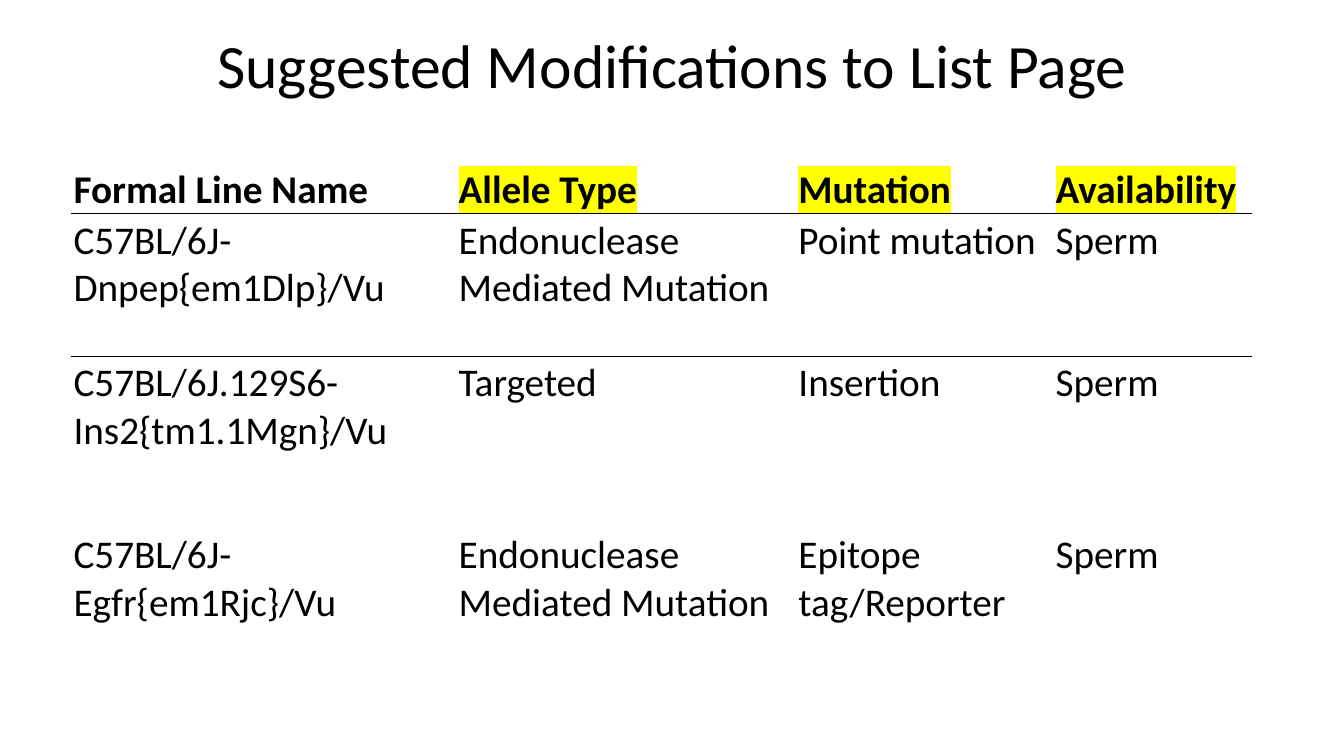
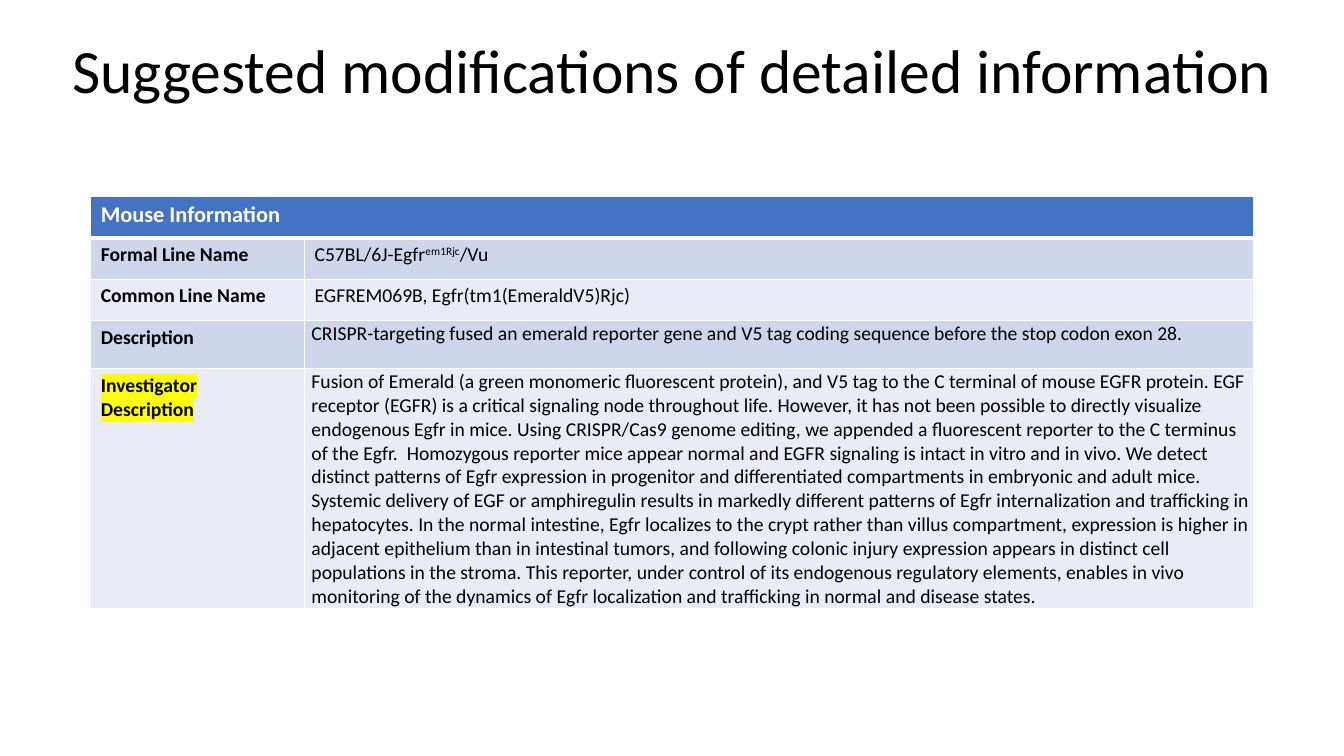
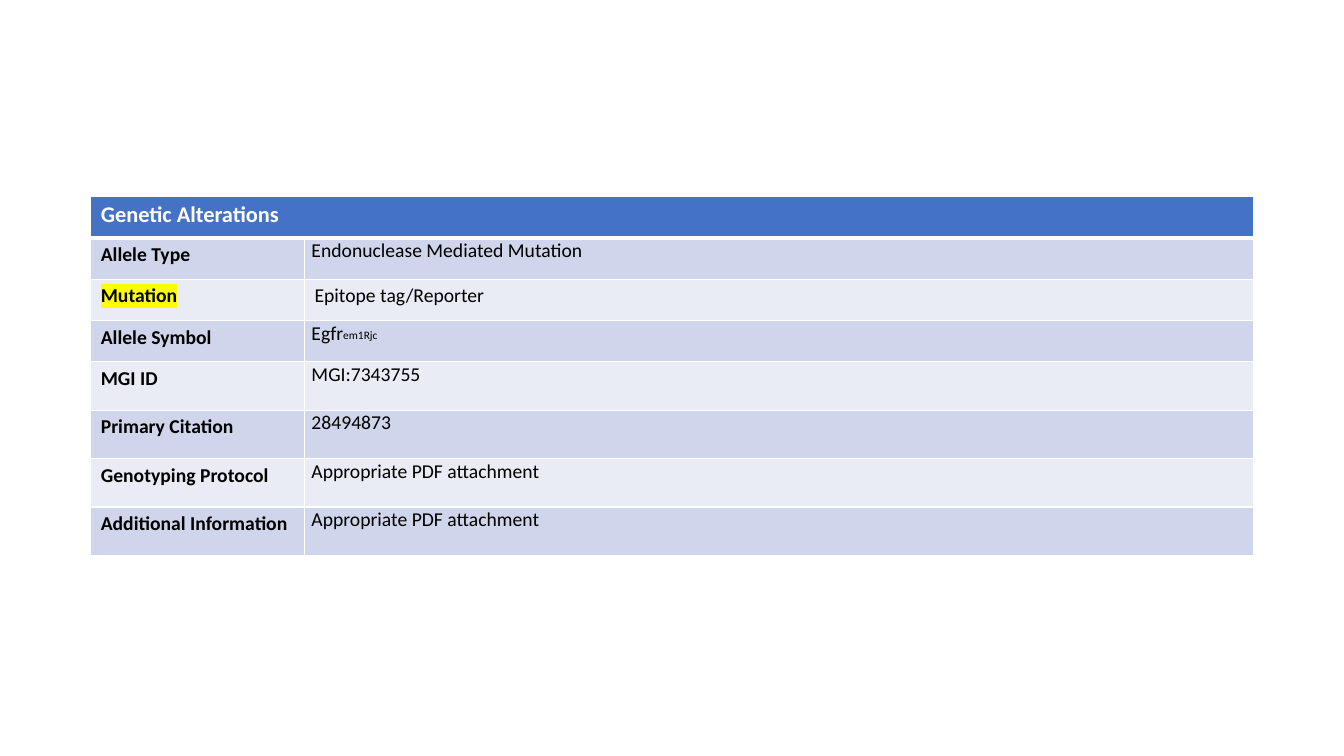
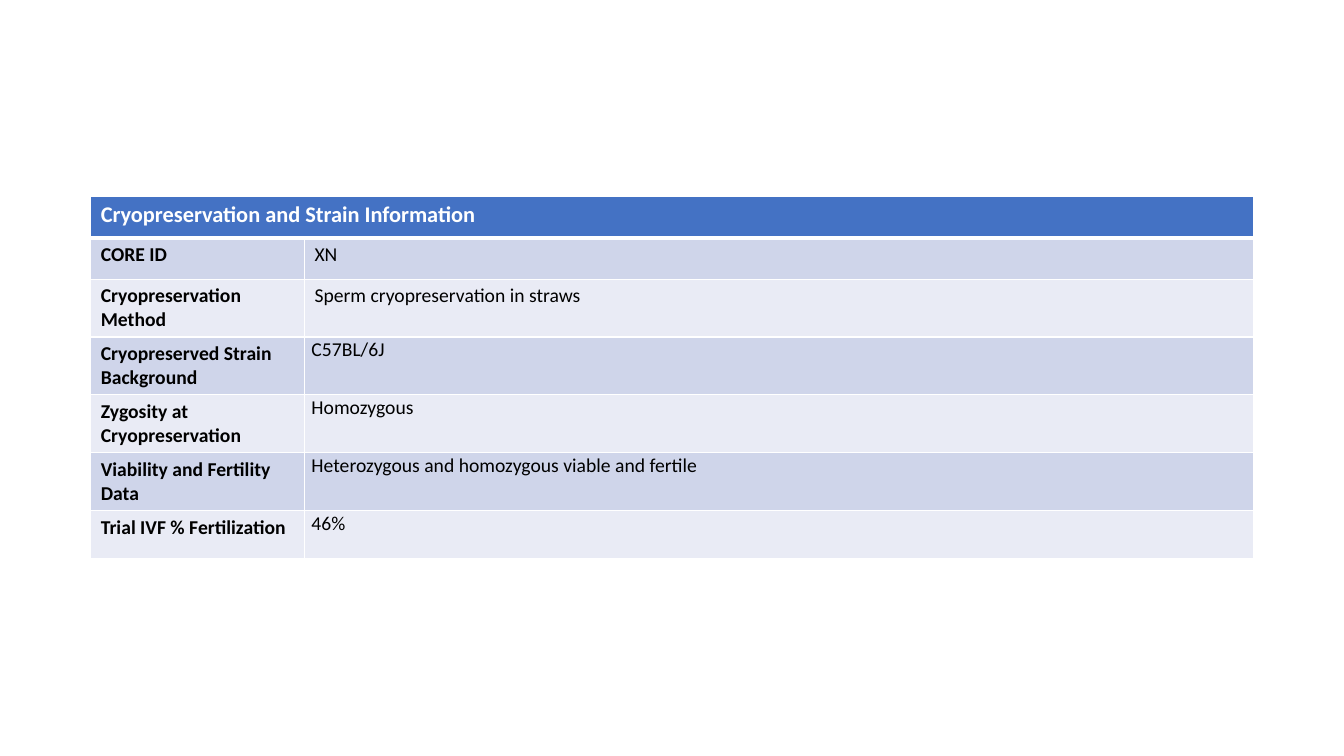
from dataclasses import dataclass

from lxml import etree
from pptx import Presentation
from pptx.dml.color import RGBColor
from pptx.enum import text
from pptx.oxml import ns
from pptx.util import Inches, Pt


@dataclass(frozen=True)
class Theme:
    font: str = "Calibri"
    black: str = "000000"
    white: str = "FFFFFF"
    header: str = "4472C4"
    bands: tuple = ("CFD5EA", "E9EBF5")
    marker: str = "FFFF00"
    title_size: int = 44
    list_size: int = 28
    header_size: int = 16
    body_size: int = 14
    plain_table: str = "{2D5ABB26-0587-4C30-8999-92F81FD0307C}"


@dataclass(frozen=True)
class Field:
    """One labelled row; value is a string or (text, baseline) pairs."""
    label: str
    value: object
    height: float = 0.41
    tight: bool = True
    marked: bool = False


LIST_INSETS = (0.03, 0.03, 0.03, 0)
TIGHT_INSETS = (0.01, 0.01, 0.01, 0)
SIDES = {"left": "a:lnL", "right": "a:lnR", "top": "a:lnT", "bottom": "a:lnB"}


def apply(target, values):
    for name, value in values.items():
        setattr(target, name, value)


class DeckBuilder:
    def __init__(self, theme):
        self.theme = theme
        self.deck = Presentation()
        apply(self.deck, {"slide_width": Inches(13.33), "slide_height": Inches(7.5)})
        self.page = None

    def add_page(self, title=None, at=None):
        layout = self.deck.slide_layouts[5 if title else 6]
        self.page = self.deck.slides.add_slide(layout)
        if title:
            box = self.page.shapes.title
            apply(box, dict(zip(("left", "top", "width", "height"), map(Inches, at))))
            apply(box.text_frame, {"auto_size": text.MSO_AUTO_SIZE.NONE, "word_wrap": True,
                                   "vertical_anchor": text.MSO_ANCHOR.MIDDLE})
            para = box.text_frame.paragraphs[0]
            apply(para, {"alignment": text.PP_ALIGN.CENTER, "line_spacing": 0.9})
            self.add_span(para, title, self.theme.title_size)

    def add_span(self, para, words, size, color=None, bold=False, marked=False, baseline=0):
        span = para.add_run()
        span.text = words
        apply(span.font, {"size": Pt(size), "bold": bold, "name": self.theme.font})
        span.font.color.rgb = RGBColor.from_string(color or self.theme.black)
        props = span.font._element
        if baseline:
            props.set("baseline", str(baseline * 1000))
        if marked:
            highlight = etree.Element(ns.qn("a:highlight"))
            etree.SubElement(highlight, ns.qn("a:srgbClr"), val=self.theme.marker)
            props.find(ns.qn("a:solidFill")).addnext(highlight)

    def add_table(self, left, top, widths, heights):
        frame = self.page.shapes.add_table(
            len(heights), len(widths), Inches(left), Inches(top),
            Inches(sum(widths)), Inches(sum(heights)))
        table = frame.table
        apply(table, {"first_row": False, "horz_banding": False})
        table._tbl.tblPr.find(ns.qn("a:tableStyleId")).text = self.theme.plain_table
        for column, width in zip(table.columns, widths):
            column.width = Inches(width)
        for row, height in zip(table.rows, heights):
            row.height = Inches(height)
        return table

    def fill_cell(self, cell, words, size, insets=None, indent=0, fill=None,
                  borders=None, border_color=None, anchor=text.MSO_ANCHOR.TOP, **style):
        """Format one cell; borders maps a side to a line width in points."""
        cell.vertical_anchor = anchor
        if insets:
            names = ("margin_left", "margin_top", "margin_right", "margin_bottom")
            apply(cell, dict(zip(names, map(Inches, insets))))
        props = cell._tc.get_or_add_tcPr()
        for side, tag in SIDES.items():
            if side in (borders or {}):
                line = etree.SubElement(props, ns.qn(tag), w=str(Pt(borders[side])))
                solid = etree.SubElement(line, ns.qn("a:solidFill"))
                etree.SubElement(solid, ns.qn("a:srgbClr"), val=border_color)
        if fill:
            cell.fill.solid()
            cell.fill.fore_color.rgb = RGBColor.from_string(fill)
        para = cell.text_frame.paragraphs[0]
        if indent:
            para._p.get_or_add_pPr().set("marL", str(Inches(indent)))
        for piece, baseline in [(words, 0)] if isinstance(words, str) else words:
            self.add_span(para, piece, size, baseline=baseline, **style)

    def add_line_list(self, headings, rows, heights):
        table = self.add_table(0.7, 1.14, (3.82, 3.37, 2.55, 1.98), heights)
        common = {"size": self.theme.list_size, "insets": LIST_INSETS,
                  "border_color": self.theme.black}
        for column, heading in enumerate(headings):
            self.fill_cell(table.cell(0, column), heading, bold=True, marked=column > 0,
                           anchor=text.MSO_ANCHOR.BOTTOM, borders={"bottom": 0.5}, **common)
        for index, row in enumerate(rows, 1):
            borders = {"top": 0.5} if index == 1 else None
            for column, words in enumerate(row):
                self.fill_cell(table.cell(index, column), words, borders=borders, **common)

    def add_details(self, heading, fields):
        theme = self.theme
        heights = [0.41] + [field.height for field in fields]
        table = self.add_table(0.9, 1.95, (2.12, 9.41), heights)
        table.cell(0, 0).merge(table.cell(0, 1))
        edges = dict.fromkeys(SIDES, 1)
        self.fill_cell(table.cell(0, 0), heading, theme.header_size, color=theme.white,
                       bold=True, fill=theme.header, borders=edges | {"bottom": 3},
                       border_color=theme.white)
        for index, field in enumerate(fields, 1):
            common = {"size": theme.body_size, "fill": theme.bands[(index - 1) % 2],
                      "borders": edges | {"top": 3 if index == 1 else 1},
                      "border_color": theme.white}
            self.fill_cell(table.cell(index, 0), field.label, bold=True,
                           marked=field.marked, **common)
            if field.tight:
                common |= {"insets": TIGHT_INSETS, "indent": 0.06}
            self.fill_cell(table.cell(index, 1), field.value, **common)


REPORTER_BACKGROUND = (
    "Fusion of Emerald (a green monomeric fluorescent protein), and V5 tag to the C terminal "
    "of mouse EGFR protein. EGF receptor (EGFR) is a critical signaling node throughout life. "
    "However, it has not been possible to directly visualize endogenous Egfr in mice. Using "
    "CRISPR/Cas9 genome editing, we appended a fluorescent reporter to the C terminus of the "
    "Egfr.  Homozygous reporter mice appear normal and EGFR signaling is intact in vitro and "
    "in vivo. ")
REPORTER_FINDINGS = (
    "We detect distinct patterns of Egfr expression in progenitor and differentiated "
    "compartments in embryonic and adult mice. Systemic delivery of EGF or amphiregulin "
    "results in markedly different patterns of Egfr internalization and trafficking in "
    "hepatocytes. In the normal intestine, Egfr localizes to the crypt rather than villus "
    "compartment, expression is higher in adjacent epithelium than in intestinal tumors, and "
    "following colonic injury expression appears in distinct cell populations in the stroma. ")
REPORTER_USE = (
    "This reporter, under control of its endogenous regulatory elements, enables in vivo "
    "monitoring of the dynamics of Egfr localization and trafficking in normal and disease "
    "states.")


def main():
    builder = DeckBuilder(Theme())

    builder.add_page("Suggested Modifications to List Page", (0.92, 0.23, 11.5, 0.91))
    builder.add_line_list(
        ("Formal Line Name", "Allele Type", "Mutation", "Availability"),
        [("C57BL/6J-Dnpep{em1Dlp}/Vu", "Endonuclease Mediated Mutation",
          "Point mutation", "Sperm"),
         ("C57BL/6J.129S6-Ins2{tm1.1Mgn}/Vu", "Targeted", "Insertion", "Sperm"),
         (),
         ("C57BL/6J-Egfr{em1Rjc}/Vu", "Endonuclease Mediated Mutation",
          "Epitope tag/Reporter", "Sperm")],
        (0.98, 1.41, 0.98, 0.73, 1.84))

    builder.add_page("Suggested modifications of detailed information", (0.54, 0, 12.26, 1.45))
    builder.add_details("Mouse Information", [
        Field("Formal Line Name", [("C57BL/6J-Egfr", 0), ("em1Rjc", 30), ("/Vu", 0)],
              tight=False),
        Field("Common Line Name", "EGFREM069B, Egfr(tm1(EmeraldV5)Rjc)", tight=False),
        Field("Description", "CRISPR-targeting fused an emerald reporter gene and V5 tag "
              "coding sequence before the stop codon exon 28.", 0.48),
        Field("Investigator Description",
              REPORTER_BACKGROUND + REPORTER_FINDINGS + REPORTER_USE, 2.38, marked=True)])

    builder.add_page()
    builder.add_details("Genetic Alterations", [
        Field("Allele Type", "Endonuclease Mediated Mutation"),
        Field("Mutation", "Epitope tag/Reporter", tight=False, marked=True),
        Field("Allele Symbol", [("Egfr", 0), ("em1Rjc", 1)]),
        Field("MGI ID", "MGI:7343755", 0.48),
        Field("Primary Citation", "28494873", 0.48),
        Field("Genotyping Protocol", "Appropriate PDF attachment", 0.48),
        Field("Additional Information", "Appropriate PDF attachment", 0.48)])

    builder.add_page()
    builder.add_details("Cryopreservation and Strain Information", [
        Field("CORE ID", "XN", tight=False),
        Field("Cryopreservation Method", "Sperm cryopreservation in straws", 0.57, tight=False),
        Field("Cryopreserved Strain Background", "C57BL/6J", 0.57),
        Field("Zygosity at Cryopreservation", "Homozygous", 0.57),
        Field("Viability and Fertility Data",
              "Heterozygous and homozygous viable and fertile", 0.57),
        Field("Trial IVF % Fertilization", "46%", 0.48)])

    builder.deck.save("out.pptx")


if __name__ == "__main__":
    main()
